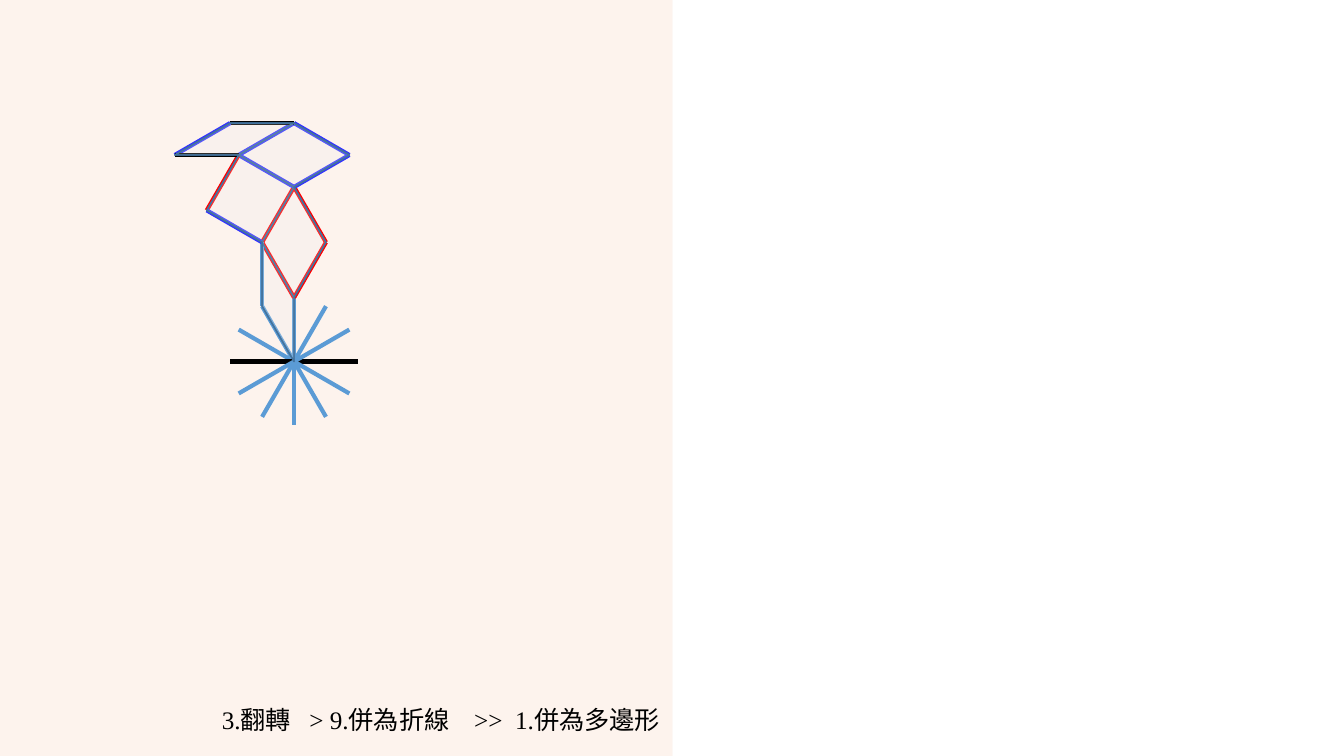
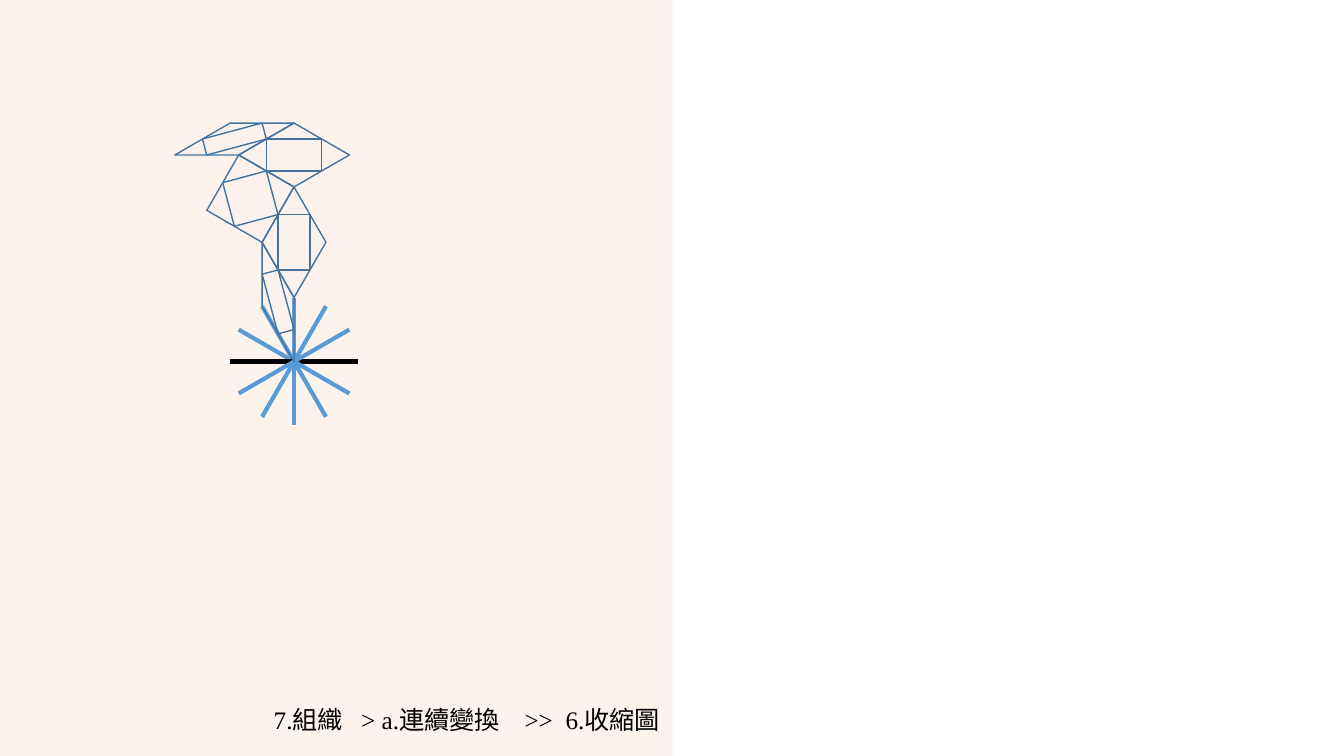
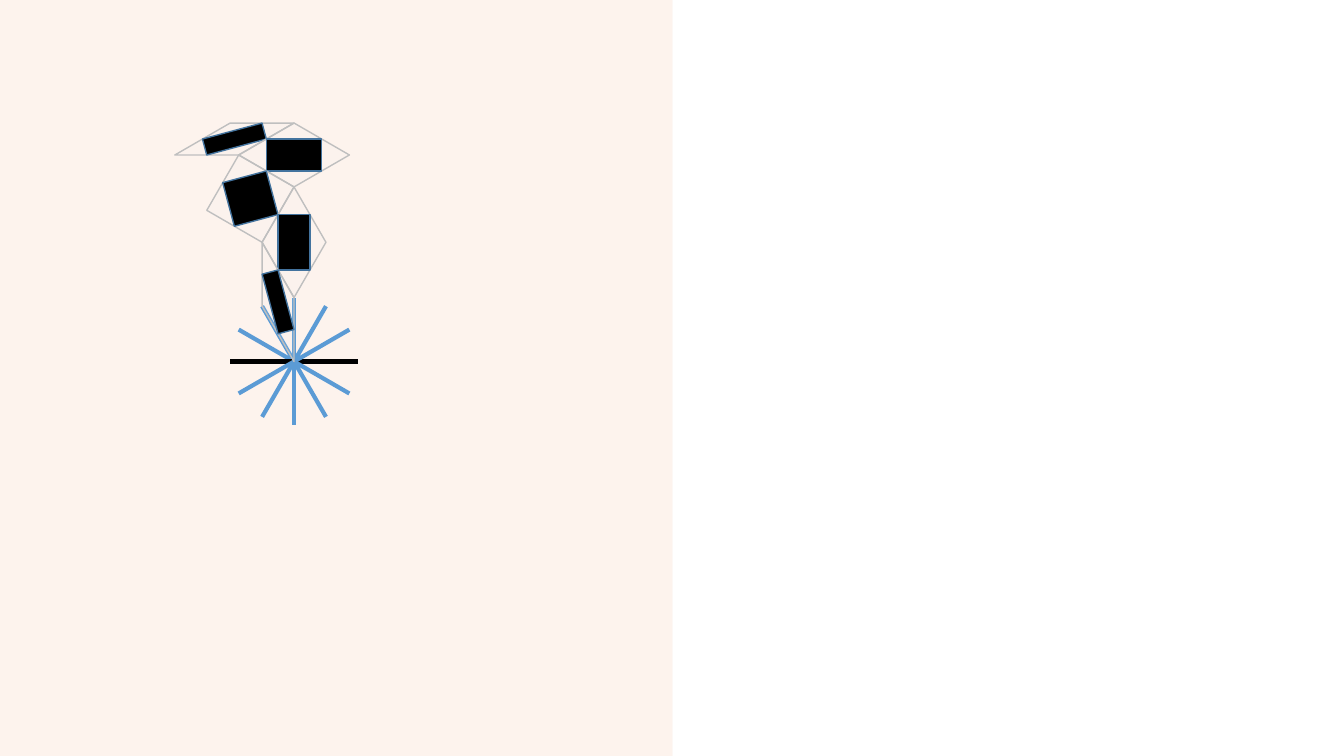
from math import cos, radians, sin

from lxml.etree import SubElement
from pptx import Presentation
from pptx.dml.color import RGBColor
from pptx.enum.shapes import MSO_CONNECTOR, MSO_SHAPE
from pptx.enum.text import MSO_ANCHOR, PP_ALIGN
from pptx.oxml.ns import qn
from pptx.util import Cm, Pt

BLACK = RGBColor(0x00, 0x00, 0x00)
SKY = RGBColor(0x5B, 0x9B, 0xD5)
RED = RGBColor(0xFF, 0x00, 0x00)
BLUE = RGBColor(0x33, 0x33, 0xFF)
STEEL = RGBColor(0x43, 0x73, 0x9E)
SILVER = RGBColor(0xBF, 0xBF, 0xBF)
MIST = RGBColor(0xEE, 0xEE, 0xEE)
PEACH = RGBColor(0xF4, 0xB1, 0x83)
PALE_PEACH = RGBColor(0xFB, 0xE5, 0xD6)

FONT = "Times New Roman"
SLIDE_W, SLIDE_H = 33.87, 19.05
PANEL_W = 16.94
UNIT = 1.61  # length of every spoke and rhombus side
CORE = (7.41, 9.11)
CAPTION_GAPS = (9, 13.5, 4.5)  # points added to the space after each part

# Colour of a side by its direction in degrees (modulo 180)
SIDE_COLOURS = {0: BLACK, 30: BLUE, 60: RED, 90: SKY, 120: RED, 150: BLUE}

# Each vertex lies one unit from an earlier one, in the given direction
STEPS = {
    "neck": ("core", 90),
    "hip": ("core", 120),
    "waist": ("hip", 90),
    "elbow": ("neck", 60),
    "shoulder": ("elbow", 120),
    "hand": ("shoulder", 30),
    "crown": ("hand", 150),
    "brow": ("shoulder", 150),
    "back": ("waist", 150),
    "tail": ("brow", 180),
    "crest": ("crown", 180),
}
RHOMBI = [
    ("neck", "core", "hip", "waist"),
    ("neck", "waist", "shoulder", "elbow"),
    ("shoulder", "waist", "back", "brow"),
    ("shoulder", "brow", "crown", "hand"),
    ("crown", "brow", "tail", "crest"),
]
OUTLINE = ("core", "neck", "elbow", "shoulder", "hand", "crown",
           "crest", "tail", "brow", "back", "waist", "hip")
# The two sides on the core are already drawn as spokes
SIDES = [
    ("shoulder", "waist", 60), ("shoulder", "elbow", 120),
    ("neck", "elbow", 60), ("neck", "waist", 120),
    ("crown", "brow", 30), ("crown", "hand", 150),
    ("shoulder", "hand", 30), ("shoulder", "brow", 150),
    ("crown", "crest", 0), ("hip", "waist", 90),
    ("brow", "back", 60), ("waist", "back", 150),
    ("crest", "tail", 30), ("tail", "brow", 0),
]


def step(start, angle):
    x, y = start
    return x + UNIT * cos(radians(angle)), y - UNIT * sin(radians(angle))


def locate_vertices():
    vertices = {"core": CORE}
    for vertex, (origin, angle) in STEPS.items():
        vertices[vertex] = step(vertices[origin], angle)
    return vertices


VERTICES = locate_vertices()


def corners(names):
    return [VERTICES[name] for name in names]


def midpoints(points):
    return [((x1 + x2) / 2, (y1 + y2) / 2)
            for (x1, y1), (x2, y2) in zip(points, points[1:] + points[:1])]


def set_opacity(properties, percent):
    colour = next(properties.iter(qn("a:srgbClr")))
    SubElement(colour, qn("a:alpha")).set("val", str(percent * 1000))


def add_line(slide, start, end, colour, width=3, opacity=None):
    ends = [Cm(value) for value in (*start, *end)]
    line = slide.shapes.add_connector(MSO_CONNECTOR.STRAIGHT, *ends)
    line.line.color.rgb = colour
    line.line.width = Pt(width)
    properties = line.element.spPr
    if opacity:
        set_opacity(properties, opacity)
    SubElement(properties, qn("a:effectLst"))


def add_polygon(group, points, fill=None, opacity=None, line=STEEL):
    outline = [(Cm(x), Cm(y)) for x, y in points]
    builder = group.shapes.build_freeform(*outline[0])
    builder.add_line_segments(outline[1:], close=True)
    polygon = builder.convert_to_shape()
    polygon.shadow.inherit = False
    if fill is None:
        polygon.fill.background()
    else:
        polygon.fill.solid()
        polygon.fill.fore_color.rgb = fill
    if opacity:
        set_opacity(polygon.element.spPr, opacity)
    polygon.line.color.rgb = line
    polygon.line.width = Pt(1)


def add_pane(group, names, line=STEEL):
    add_polygon(group, corners(names), fill=MIST, opacity=10, line=line)


def add_text(paragraph, text, size=18, colour=BLACK, spacing=None):
    run = paragraph.add_run()
    run.text = text
    run.font.name = FONT
    run.font.size = Pt(size)
    run.font.color.rgb = colour
    if spacing:
        run.font.element.set("spc", str(round(spacing * 100))) if hasattr(
            run.font, "element") else run._r.get_or_add_rPr().set(
            "spc", str(round(spacing * 100)))


def add_caption(slide, parts, width):
    box = slide.shapes.add_shape(MSO_SHAPE.ROUNDED_RECTANGLE,
                                 Cm(PANEL_W - width), Cm(17.55),
                                 Cm(width), Cm(1.14))
    box.shadow.inherit = False
    box.fill.background()
    box.line.fill.background()
    frame = box.text_frame
    frame.word_wrap = True
    frame.vertical_anchor = MSO_ANCHOR.MIDDLE
    paragraph = frame.paragraphs[0]
    paragraph.alignment = PP_ALIGN.RIGHT
    add_text(paragraph, parts[0])
    for gap, part in zip(CAPTION_GAPS, parts[1:]):
        add_text(paragraph, " ", spacing=gap)
        add_text(paragraph, part)


def add_base_slide(deck):
    slide = deck.slides.add_slide(deck.slide_layouts[6])
    # Tinted left half with its edge
    panel = slide.shapes.add_shape(MSO_SHAPE.RECTANGLE, 0, 0,
                                   Cm(PANEL_W), Cm(SLIDE_H))
    panel.shadow.inherit = False
    panel.fill.solid()
    panel.fill.fore_color.rgb = PEACH
    set_opacity(panel.element.spPr, 14)
    panel.line.fill.background()
    add_line(slide, (PANEL_W, SLIDE_H), (PANEL_W, 0), PALE_PEACH,
             width=0.25, opacity=50)
    # Star of twelve spokes
    for angle in range(0, 360, 30):
        colour = SKY if angle % 180 else BLACK
        add_line(slide, CORE, step(CORE, angle), colour)
    return slide


def add_merge_slide(deck):
    slide = add_base_slide(deck)
    for start, end, direction in SIDES:
        add_line(slide, VERTICES[start], VERTICES[end],
                 SIDE_COLOURS[direction])
    figure = slide.shapes.add_group_shape()
    for names in [*RHOMBI, OUTLINE]:
        add_pane(figure, names)
    add_caption(slide, ("3.翻轉", "> 9.併為折線", ">>", "1.併為多邊形"), 11.68)


def add_contraction_slide(deck, pane_line=STEEL, core_fill=None, caption=None):
    slide = add_base_slide(deck)
    figure = slide.shapes.add_group_shape()
    for names in reversed(RHOMBI):
        add_pane(figure, names, line=pane_line)
        add_polygon(figure, midpoints(corners(names)), fill=core_fill)
    if caption:
        add_caption(slide, caption, 10.6)


def main():
    deck = Presentation()
    deck.slide_width, deck.slide_height = Cm(SLIDE_W), Cm(SLIDE_H)
    add_merge_slide(deck)
    add_contraction_slide(
        deck, caption=("7.組織", "> a.連續變換", ">>", "6.收縮圖"))
    add_contraction_slide(deck, pane_line=SILVER, core_fill=BLACK)
    deck.save("out.pptx")


if __name__ == "__main__":
    main()
